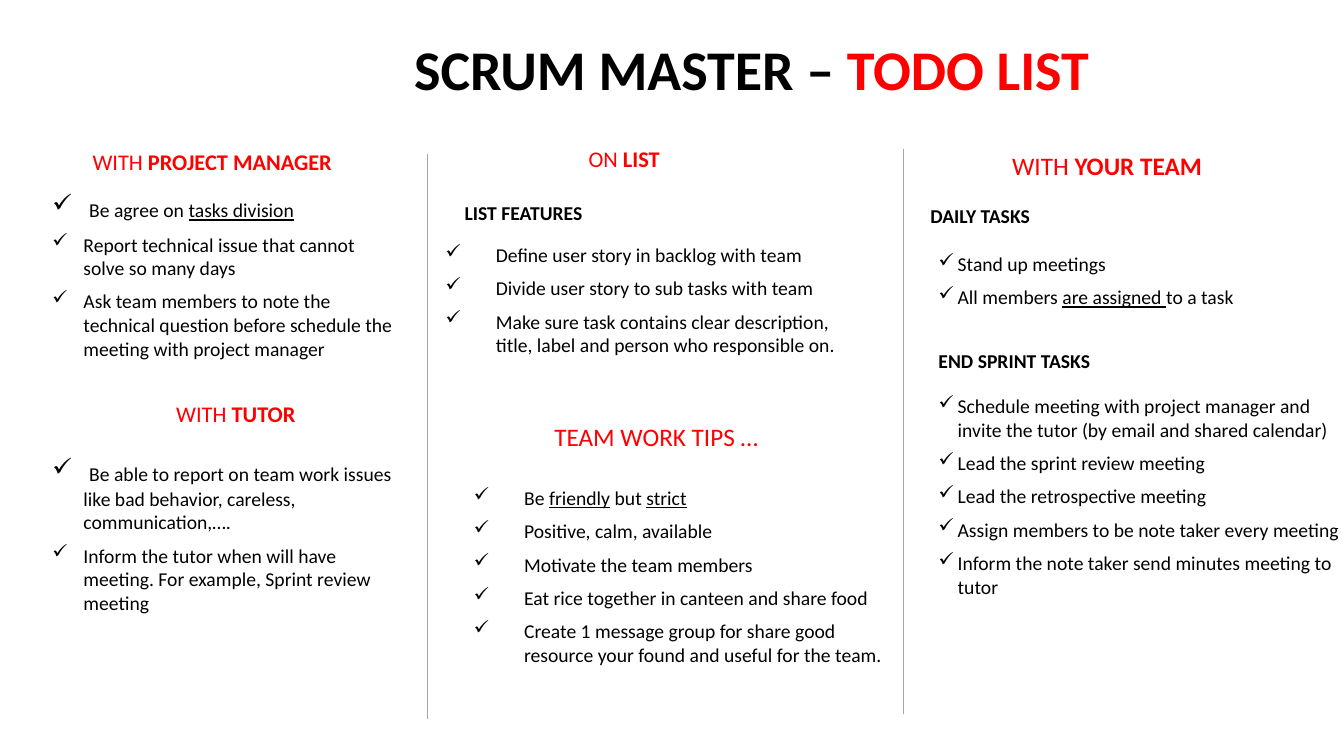
from lxml.etree import SubElement
from pptx import Presentation
from pptx.dml.color import RGBColor
from pptx.enum.shapes import MSO_CONNECTOR as Connector
from pptx.enum.text import MSO_AUTO_SIZE as AutoSize
from pptx.oxml.ns import qn
from pptx.util import Inches, Pt

COLORS = {"text": "000000", "accent": "FF0000", "divider": "A6A6A6"}
FONT = "Calibri"
BODY_SIZE = 14
LEAD_SIZE = 18
ITEM_GAP = Pt(7)


def add_run(paragraph, text, size, color="text", bold=False, underline=None):
    run = paragraph.add_run()
    run.text = text
    font = run.font
    font.name, font.size = FONT, Pt(size)
    font.bold, font.underline = bold, underline
    font.color.rgb = RGBColor.from_string(COLORS[color])
    return run


def add_text_frame(slide, left, top, width, height, wrap=True):
    box = slide.shapes.add_textbox(Inches(left), Inches(top), Inches(width), Inches(height))
    frame = box.text_frame
    frame.word_wrap = wrap
    frame.auto_size = AutoSize.SHAPE_TO_FIT_TEXT
    return frame


def add_title(slide, left, top, width, height):
    paragraph = add_text_frame(slide, left, top, width, height, wrap=False).paragraphs[0]
    add_run(paragraph, "SCRUM MASTER – ", 40, bold=True)
    add_run(paragraph, "TODO LIST", 40, "accent", bold=True)


def add_heading(slide, left, top, width, plain, strong="", size=16):
    """Red section heading: a plain part, then an optional bold part."""
    height = 0.4 if size > 16 else 0.37
    paragraph = add_text_frame(slide, left, top, width, height, wrap=False).paragraphs[0]
    add_run(paragraph, plain, size, "accent")
    if strong:
        add_run(paragraph, strong, size, "accent", bold=True)


def add_subheading(slide, left, top, text):
    paragraph = add_text_frame(slide, left, top, 4.2, 0.34).paragraphs[0]
    add_run(paragraph, text, BODY_SIZE, bold=True)


def add_check_mark(paragraph, indent):
    properties = paragraph._p.get_or_add_pPr()
    properties.set("marL", str(Inches(indent)))
    properties.set("indent", str(-Inches(indent)))
    SubElement(properties, qn("a:buFont"), typeface="Wingdings")
    SubElement(properties, qn("a:buChar"), char="ü")


def add_checklist(slide, left, top, width, height, indent, items, large_first=False):
    """Ticked items; words between underscores are underlined."""
    frame = add_text_frame(slide, left, top, width, height)
    for index, item in enumerate(items):
        paragraph = frame.add_paragraph() if index else frame.paragraphs[0]
        if index:
            paragraph.space_before = ITEM_GAP
        add_check_mark(paragraph, indent)
        if large_first and index == 0:
            add_run(paragraph, " ", LEAD_SIZE).font.italic = True
        for part, text in enumerate(item.split("_")):
            if text:
                add_run(paragraph, text, BODY_SIZE, underline=part % 2 == 1)


def add_divider(slide, x, top, height):
    divider = slide.shapes.add_connector(
        Connector.STRAIGHT, Inches(x), Inches(top), Inches(x), Inches(top + height))
    divider.line.color.rgb = RGBColor.from_string(COLORS["divider"])
    divider.line.width = Pt(0.5)
    SubElement(divider._element.spPr, qn("a:effectLst"))


def add_people_column(slide, left, top, width):
    add_heading(slide, left + 0.4, top, 2.6, "WITH ", "PROJECT MANAGER")
    add_checklist(slide, left, top + 0.44, width, 1.82, 0.31, [
        "Be agree on _tasks division_",
        "Report technical issue that cannot solve so many days",
        "Ask team members to note the technical question before schedule "
        "the meeting with project manager",
    ], large_first=True)
    add_heading(slide, left + 1.23, top + 2.5, 1.4, "WITH ", "TUTOR")
    add_checklist(slide, left, top + 3.06, width, 1.7, 0.31, [
        "Be able to report on team work issues like bad behavior, careless, communication,….",
        "Inform the tutor when will have meeting. For example, Sprint review meeting",
    ], large_first=True)


def add_board_column(slide, left, top, width):
    add_heading(slide, left + 1.42, top, 0.94, "ON ", "LIST")
    add_subheading(slide, left + 0.19, top + 0.55, "LIST FEATURES")
    add_checklist(slide, left, top + 0.97, width, 1.63, 0.5, [
        "Define user story in backlog with team",
        "Divide user story to sub tasks with team",
        "Make sure task contains clear description, title, label and person who responsible on.",
    ])
    add_heading(slide, left + 1.08, top + 2.74, 2.24, "TEAM WORK TIPS …", size=18)
    add_checklist(slide, left + 0.28, top + 3.38, width + 0.17, 1.99, 0.5, [
        "Be _friendly_ but _strict_",
        "Positive, calm, available",
        "Motivate the team members",
        "Eat rice together in canteen and share food",
        "Create 1 message group for share good resource your found and useful for the team.",
    ])


def add_team_column(slide, left, top, width):
    add_heading(slide, left + 0.73, top, 2.1, "WITH ", "YOUR TEAM", size=18)
    add_subheading(slide, left - 0.08, top + 0.53, "DAILY TASKS")
    add_checklist(slide, left, top + 1.01, width, 0.69, 0.19, [
        "Stand up meetings",
        "All members _are assigned _to a task",
    ])
    add_subheading(slide, left, top + 1.97, "END SPRINT TASKS")
    add_checklist(slide, left, top + 2.42, width, 2.22, 0.19, [
        "Schedule meeting with project manager and invite the tutor "
        "(by email and shared calendar)",
        "Lead the sprint review meeting",
        "Lead the retrospective meeting",
        "Assign members to be note taker every meeting",
        "Inform the note taker send minutes meeting to tutor",
    ])


def main():
    presentation = Presentation()
    presentation.slide_width, presentation.slide_height = Inches(13.33), Inches(7.5)
    slide = presentation.slides.add_slide(presentation.slide_layouts[6])
    add_title(slide, 4.01, 0.29, 6.97, 0.77)
    add_people_column(slide, 0.42, 1.42, 3.64)
    add_divider(slide, 4.24, 1.53, 5.6)
    add_board_column(slide, 4.32, 1.39, 4.2)
    add_divider(slide, 8.96, 1.48, 5.6)
    add_team_column(slide, 9.21, 1.44, 4.24)
    presentation.save("out.pptx")


if __name__ == "__main__":
    main()
